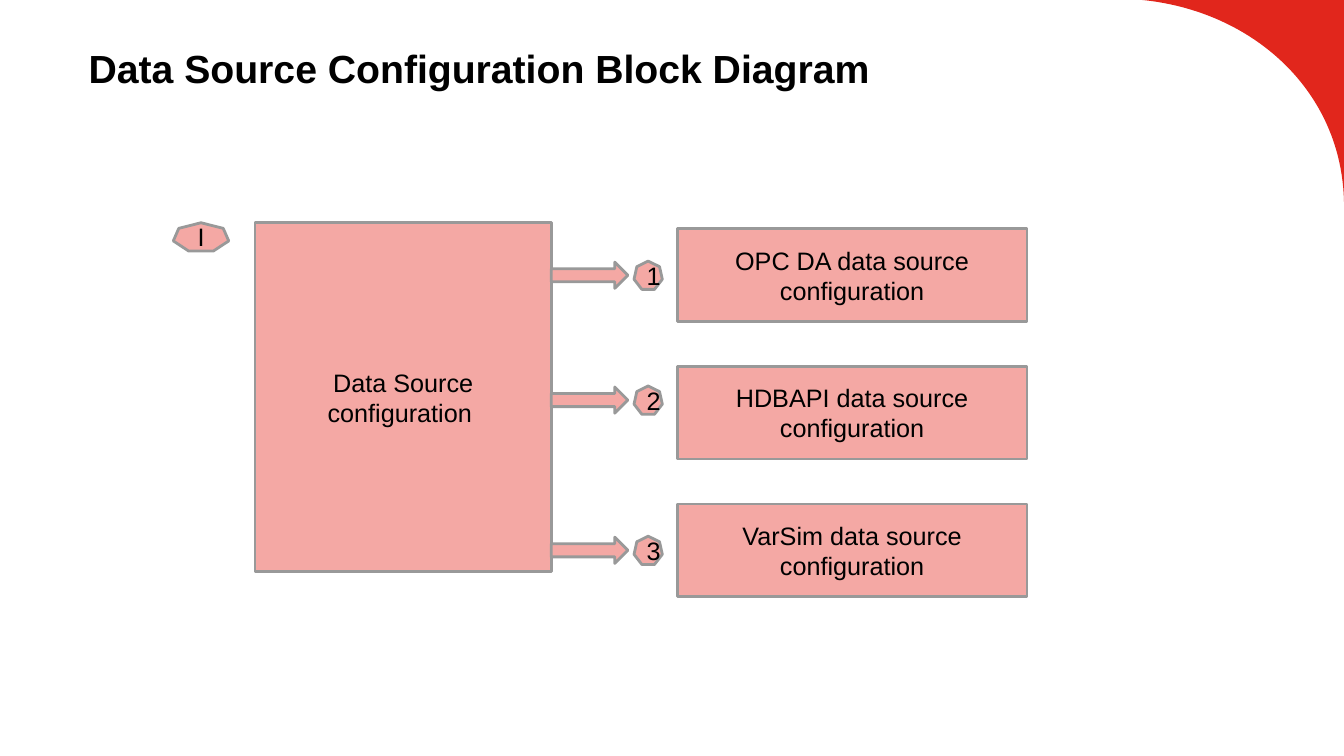
"""Build the data source configuration block diagram slide."""
from dataclasses import dataclass

from pptx import Presentation
from pptx import util as u
from pptx.dml.color import RGBColor
from pptx.enum import shapes, text

COLORS = {"corner": "E1261C", "fill": "F4A8A4", "line": "999999", "text": "000000"}
FONT = "Arial"
SHAPE = shapes.MSO_SHAPE
WIDTH, HEIGHT = 960, 540
CURVE = ((960, 144), (958.3, 64.8), (895, 7.9), (815.8, 0))
CURVE_STEPS = 48
MAIN_TOP = 159.1
BOX_TOP, BOX_STEP = 163.4, 98.3
BADGE_H, ARROW_H = 20.2, 18.7


@dataclass
class Block:
    kind: int
    left: float
    top: float
    width: float
    height: float
    label: str = ""


@dataclass
class Branch:
    label: str
    middle: float


BRANCHES = [
    Branch("OPC DA data source configuration", 196.6),
    Branch("HDBAPI data source configuration", 285.8),
    Branch("VarSim data source configuration", 393.1),
]


def color(name: str) -> RGBColor:
    return RGBColor.from_string(COLORS[name])


def write(tf, label: str, size: float, bold: bool = False) -> None:
    tf.word_wrap = True
    tf.text = label
    for r in tf.paragraphs[0].runs:
        r.font.name = FONT
        r.font.size = u.Pt(size)
        r.font.bold = bold
        r.font.color.rgb = color("text")


def draw_block(s, block: Block) -> None:
    sp = s.shapes.add_shape(block.kind, u.Pt(block.left), u.Pt(block.top),
                            u.Pt(block.width), u.Pt(block.height))
    sp.shadow.inherit = False
    sp.fill.solid()
    sp.fill.fore_color.rgb = color("fill")
    sp.line.color.rgb = color("line")
    sp.line.width = u.Pt(2)
    if block.label:
        tf = sp.text_frame
        write(tf, block.label, 18)
        tf.vertical_anchor = text.MSO_ANCHOR.MIDDLE
        tf.paragraphs[0].alignment = text.PP_ALIGN.CENTER


def curve_point(t: float) -> tuple[float, float]:
    weights = ((1 - t) ** 3, 3 * t * (1 - t) ** 2, 3 * t ** 2 * (1 - t), t ** 3)
    x, y = (sum(w * pt[axis] for w, pt in zip(weights, CURVE)) for axis in (0, 1))
    return x, y


def draw_corner(s) -> None:
    points = [curve_point(i / CURVE_STEPS) for i in range(CURVE_STEPS + 1)]
    fb = s.shapes.build_freeform(u.Pt(WIDTH), 0)
    fb.add_line_segments([(u.Pt(x), u.Pt(y)) for x, y in points])
    sp = fb.convert_to_shape()
    sp.shadow.inherit = False
    sp.fill.solid()
    sp.fill.fore_color.rgb = color("corner")
    sp.line.fill.background()


def draw_title(s) -> None:
    sp = s.shapes.add_textbox(u.Pt(56.2), u.Pt(28.1), u.Pt(841), u.Pt(39.6))
    write(sp.text_frame, "Data Source Configuration Block Diagram", 28, bold=True)


def diagram_blocks() -> list[Block]:
    blocks = [
        Block(SHAPE.RECTANGLE, 182.2, MAIN_TOP, 211.7, 249.1, "Data Source configuration "),
        Block(SHAPE.HEPTAGON, 123.8, MAIN_TOP, 39.6, BADGE_H, "I"),
    ]
    for i, branch in enumerate(BRANCHES):
        blocks += [
            Block(SHAPE.RECTANGLE, 483.8, BOX_TOP + i * BOX_STEP, 249.8, 66.2, branch.label),
            Block(SHAPE.HEPTAGON, 452.9, branch.middle - BADGE_H / 2, 20.2, BADGE_H, str(i + 1)),
            Block(SHAPE.RIGHT_ARROW, 393.8, branch.middle - ARROW_H / 2, 54.7, ARROW_H),
        ]
    return blocks


def main() -> None:
    prs = Presentation()
    prs.slide_width, prs.slide_height = u.Pt(WIDTH), u.Pt(HEIGHT)
    s = prs.slides.add_slide(prs.slide_layouts[6])
    draw_corner(s)
    draw_title(s)
    for block in diagram_blocks():
        draw_block(s, block)
    prs.save("out.pptx")


if __name__ == "__main__":
    main()
